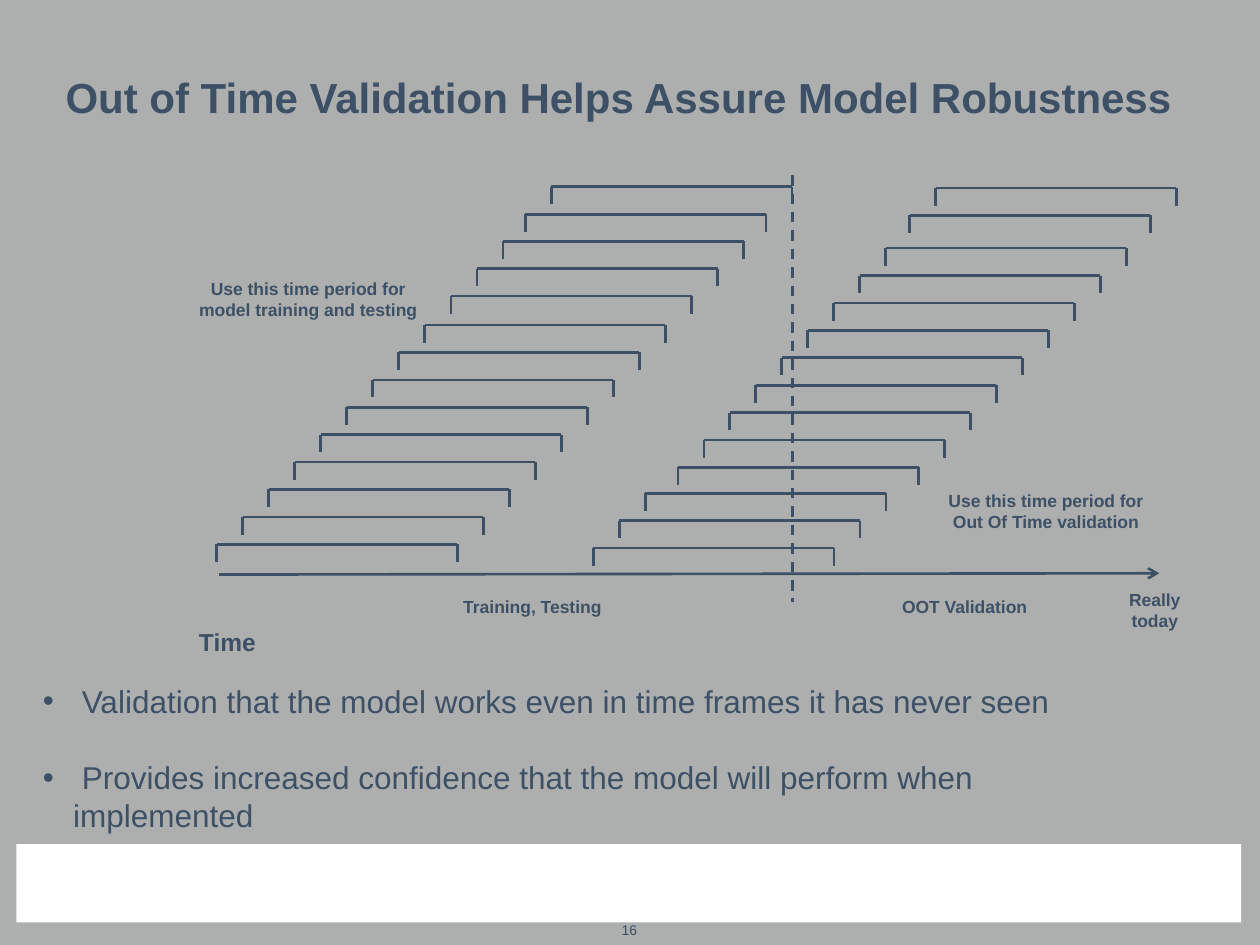
from lxml import etree
from pptx import Presentation
from pptx.dml.color import RGBColor
from pptx.enum.dml import MSO_LINE_DASH_STYLE as Dash
from pptx.enum.shapes import MSO_CONNECTOR as Connector, MSO_SHAPE as Shape
from pptx.enum.text import MSO_ANCHOR as Anchor, MSO_AUTO_SIZE as AutoSize, PP_ALIGN as Align
from pptx.oxml.ns import qn
from pptx.util import Inches, Pt

INK = "3D5065"
BACKDROP = "ADAFAF"
WHITE = "FFFFFF"

WINDOW_WIDTH, WINDOW_DROP = 1.91, 0.14
STEP_X, STEP_Y = 1.65 / 8, 1.74 / 8
# Each flight of windows: left and top of its lowest window, number of windows
TRAINING_FLIGHTS = [(1.72, 4.32, 9), (3.58, 2.35, 3), (4.17, 1.7, 2)]
VALIDATION_FLIGHTS = [(4.71, 4.35, 3), (5.38, 3.71, 9), (7.22, 1.71, 2)]

LABELS = [
    ((1.58, 4.97, 0.45, 0.24), ["Time"], 14),
    ((8.93, 4.67, 0.47, 0.34), ["Really", "today"], 10),
    ((1.57, 2.2, 1.75, 0.34), ["Use this time period for", "model training and testing"], 10),
    ((7.51, 3.88, 1.58, 0.34), ["Use this time period for", "Out Of Time validation"], 10),
    ((7.15, 4.73, 1.01, 0.17), ["OOT Validation"], 10),
    ((3.66, 4.73, 1.13, 0.17), ["Training, Testing"], 10),
]
BULLETS = [
    " Validation that the model works even in time frames it has never seen",
    " Provides increased confidence that the model will perform when implemented",
]


def color(value):
    return RGBColor.from_string(value)


def place(shape, box):
    shape.left, shape.top, shape.width, shape.height = map(Inches, box)


def set_frame(frame, inset=0, wrap=True):
    frame.word_wrap = wrap
    frame.auto_size = AutoSize.NONE
    frame.vertical_anchor = Anchor.BOTTOM
    frame.margin_left = frame.margin_right = Inches(inset)
    frame.margin_top = frame.margin_bottom = Inches(inset / 2)


def add_span(para, text, size, bold=False):
    span = para.add_run()
    span.text = text
    span.font.name = "Arial"
    span.font.size = Pt(size)
    span.font.bold = bold
    span.font.color.rgb = color(INK)


def add_label(page, box, lines, size, bold=True):
    label = page.shapes.add_textbox(*map(Inches, box))
    frame = label.text_frame
    set_frame(frame, wrap=False)
    for index, line in enumerate(lines):
        para = frame.add_paragraph() if index else frame.paragraphs[0]
        para.alignment = Align.CENTER
        add_span(para, line, size, bold)


def add_line(shapes, start, end):
    line = shapes.add_connector(Connector.STRAIGHT, *map(Inches, (*start, *end)))
    line.line.color.rgb = color(INK)
    line.line.width = Pt(1.5)
    etree.SubElement(line._element.spPr, qn("a:effectLst"))
    return line


def add_window(page, left, top):
    """Draw one time window as a bracket open at the bottom."""
    right, bottom = left + WINDOW_WIDTH, top + WINDOW_DROP
    bracket = page.shapes.add_group_shape()
    add_line(bracket.shapes, (left, top), (right, top))
    for x in (left, right):
        add_line(bracket.shapes, (x, top), (x, bottom))


def add_timeline(page):
    axis = add_line(page.shapes, (1.74, 4.56), (9.2, 4.55))
    etree.SubElement(axis.line._get_or_add_ln(), qn("a:tailEnd"), type="arrow")
    for left, top, count in TRAINING_FLIGHTS + VALIDATION_FLIGHTS:
        for step in range(count):
            add_window(page, left + step * STEP_X, top - step * STEP_Y)
    cutoff = add_line(page.shapes, (6.29, 1.39), (6.29, 4.78))
    cutoff.line.dash_style = Dash.DASH
    for box, lines, size in LABELS:
        add_label(page, box, lines, size)


def fill_title(title, box):
    place(title, box)
    set_frame(title.text_frame, inset=0.1)
    para = title.text_frame.paragraphs[0]
    para.alignment = Align.LEFT
    para.line_spacing = 0.85
    add_span(para, "Out of Time Validation Helps Assure Model Robustness", 24, True)


def fill_bullets(body, box):
    place(body, box)
    frame = body.text_frame
    set_frame(frame)
    for index, text in enumerate(BULLETS):
        para = frame.add_paragraph() if index else frame.paragraphs[0]
        para.space_before = Pt(22 if index else 0)
        properties = para._p.get_or_add_pPr()
        properties.set("marL", str(Inches(0.24)))
        properties.set("indent", str(-Inches(0.24)))
        etree.SubElement(properties, qn("a:buChar"), char="•")
        add_span(para, text, 18)


def add_footer(page, box):
    band = page.shapes.add_shape(Shape.RECTANGLE, *map(Inches, box))
    band.shadow.inherit = False
    band.fill.solid()
    band.fill.fore_color.rgb = color(WHITE)
    band.line.fill.background()
    left, top, width, height = box
    number_box = (left + width / 2 - 0.84, top + height - 0.03, 1.69, 0.16)
    add_label(page, number_box, ["16"], 8, bold=False)


def main():
    deck = Presentation()
    deck.slide_width, deck.slide_height = Inches(10), Inches(7.5)
    page = deck.slides.add_slide(deck.slide_layouts[1])
    page.background.fill.solid()
    page.background.fill.fore_color.rgb = color(BACKDROP)
    add_footer(page, (0.13, 6.7, 9.72, 0.62))
    fill_title(page.shapes.title, (0.42, 0.67, 9.19, 0.35))
    add_timeline(page)
    fill_bullets(page.placeholders[1], (0.34, 5.43, 8.81, 1.19))
    deck.save("out.pptx")


if __name__ == "__main__":
    main()
